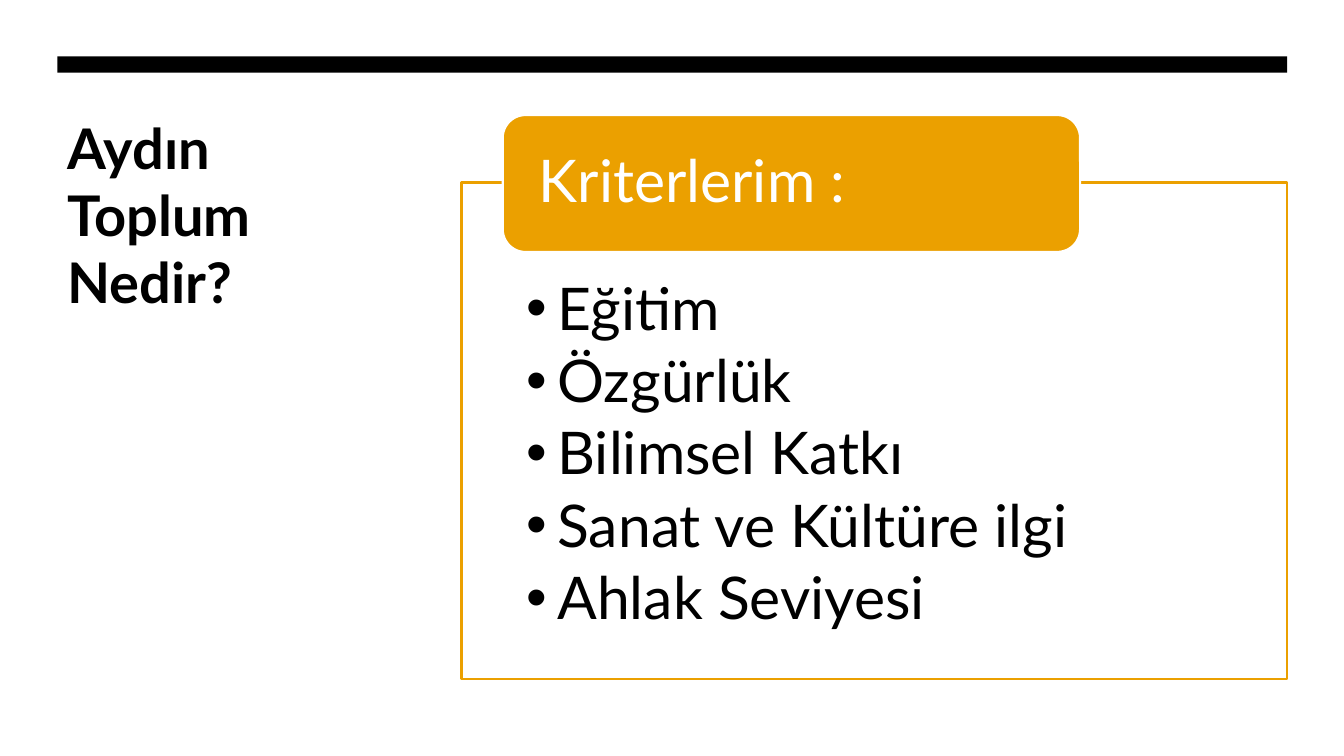
"""Build the slide that lists the criteria of an enlightened society."""
import dataclasses

import lxml.etree
import pptx
import pptx.dml.color
import pptx.enum.shapes
import pptx.enum.text
import pptx.oxml.ns
import pptx.shapes.autoshape
import pptx.slide
import pptx.util

Cm = pptx.util.Cm
Pt = pptx.util.Pt
Shape = pptx.shapes.autoshape.Shape
Anchor = pptx.enum.text.MSO_ANCHOR
Preset = pptx.enum.shapes.MSO_SHAPE


@dataclasses.dataclass(frozen=True)
class Theme:
    font: str = "Lato"
    black: str = "000000"
    white: str = "FFFFFF"
    gold: str = "EBA000"
    title: float = 40
    body: float = 42
    line: float = 1.5


@dataclasses.dataclass(frozen=True)
class Box:
    left: float
    top: float
    width: float
    height: float
    fill: str | None = None
    edge: str | None = None


THEME = Theme()
TITLE = Box(1.45, 2.72, 8.76, 11.3)
BAR = Box(1.45, 1.42, 30.99, 0.41, THEME.black)
FRAME = Box(11.63, 4.6, 20.8, 12.5, THEME.white, THEME.gold)
TAG = Box(12.67, 2.9, 14.55, 3.45, THEME.gold, THEME.white)
ITEMS = ["Eğitim", "Özgürlük", "Bilimsel Katkı", "Sanat ve Kültüre ilgi", "Ahlak Seviyesi"]


def paint(color: str) -> pptx.dml.color.RGBColor:
    return pptx.dml.color.RGBColor.from_string(color)


def style(shape: Shape, box: Box) -> Shape:
    shape.left, shape.top = Cm(box.left), Cm(box.top)
    shape.width, shape.height = Cm(box.width), Cm(box.height)
    if box.fill:
        shape.fill.solid()
        shape.fill.fore_color.rgb = paint(box.fill)
    if box.edge:
        shape.line.color.rgb = paint(box.edge)
        shape.line.width = Pt(THEME.line)
    else:
        shape.line.fill.background()
    return shape


def draw(slide: pptx.slide.Slide, kind: Preset, box: Box) -> Shape:
    shape = slide.shapes.add_shape(kind, 0, 0, 0, 0)
    shape.shadow.inherit = False
    return style(shape, box)


def write(shape: Shape, lines: list[str], *, size: float, color: str,
          bold: bool = False, anchor: Anchor = Anchor.TOP, space: float = 1,
          after: float = 0, hang: float = 0,
          inset: tuple[float, float, float, float] = (0.25, 0.13, 0.25, 0.13)) -> None:
    frame = shape.text_frame
    frame.word_wrap = True
    frame.auto_size = pptx.enum.text.MSO_AUTO_SIZE.NONE
    frame.vertical_anchor = anchor
    frame.margin_left, frame.margin_top, frame.margin_right, frame.margin_bottom = map(Cm, inset)
    frame.text = "\n".join(lines)
    for para in frame.paragraphs:
        para.alignment = pptx.enum.text.PP_ALIGN.LEFT
        para.line_spacing = space
        para.space_before, para.space_after = Pt(0), Pt(after)
        para.font.name, para.font.size = THEME.font, Pt(size)
        para.font.bold, para.font.color.rgb = bold, paint(color)
        if hang:
            props = para._p.get_or_add_pPr()
            props.set("marL", str(Cm(hang)))
            props.set("indent", str(-Cm(hang)))
            mark = pptx.oxml.ns.qn("a:buChar")
            lxml.etree.SubElement(props, mark, char="•")


def main() -> None:
    deck = pptx.Presentation()
    deck.slide_width, deck.slide_height = Cm(33.87), Cm(19.05)
    slide = deck.slides.add_slide(deck.slide_layouts[1])

    write(style(slide.shapes.title, TITLE), ["Aydın Toplum Nedir?"],
          size=THEME.title, color=THEME.black, bold=True)
    draw(slide, Preset.RECTANGLE, BAR)
    write(style(slide.placeholders[1], FRAME), ITEMS,
          size=THEME.body, color=THEME.black, space=0.9, after=6.3, hang=0.79,
          inset=(1.63, 2.44, 1.63, 0.84))
    write(draw(slide, Preset.ROUNDED_RECTANGLE, TAG), ["Kriterlerim :"],
          size=THEME.body, color=THEME.white, anchor=Anchor.MIDDLE, space=0.9,
          inset=(0.74, 0, 0.74, 0))
    deck.save("out.pptx")


if __name__ == "__main__":
    main()
